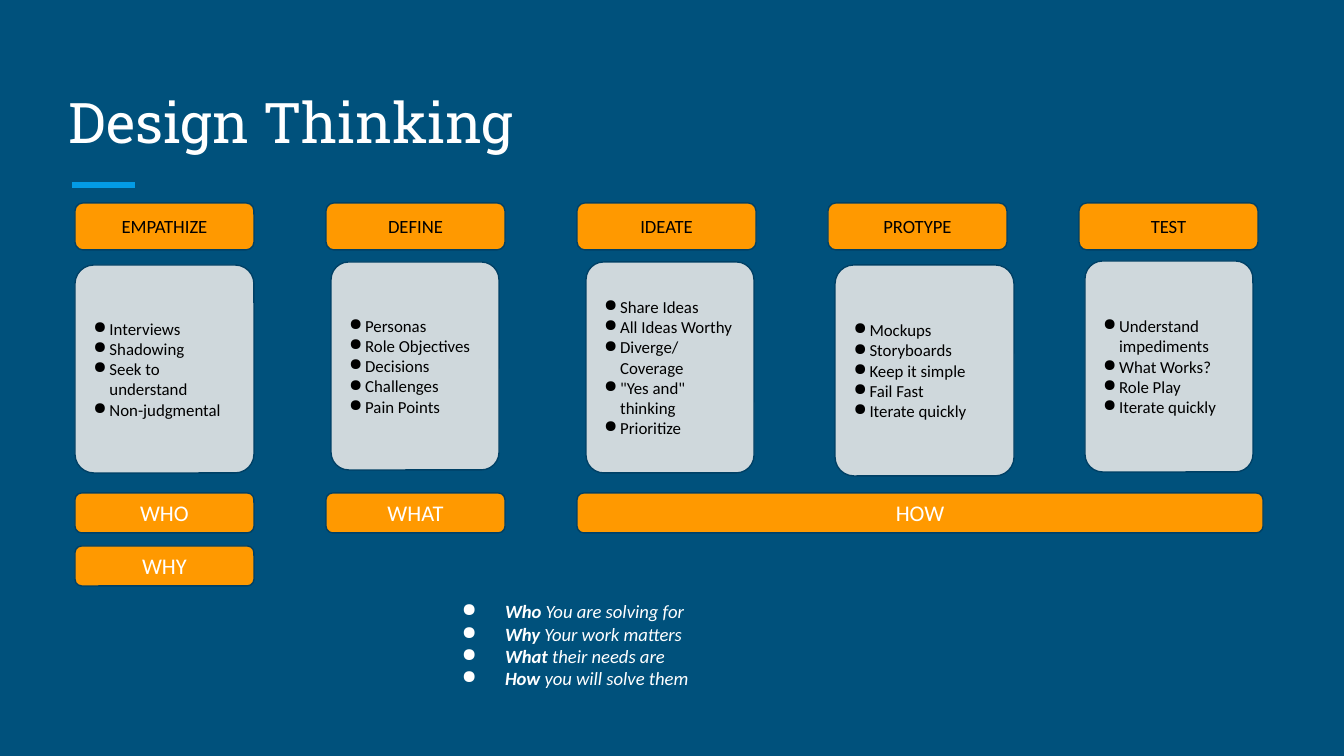
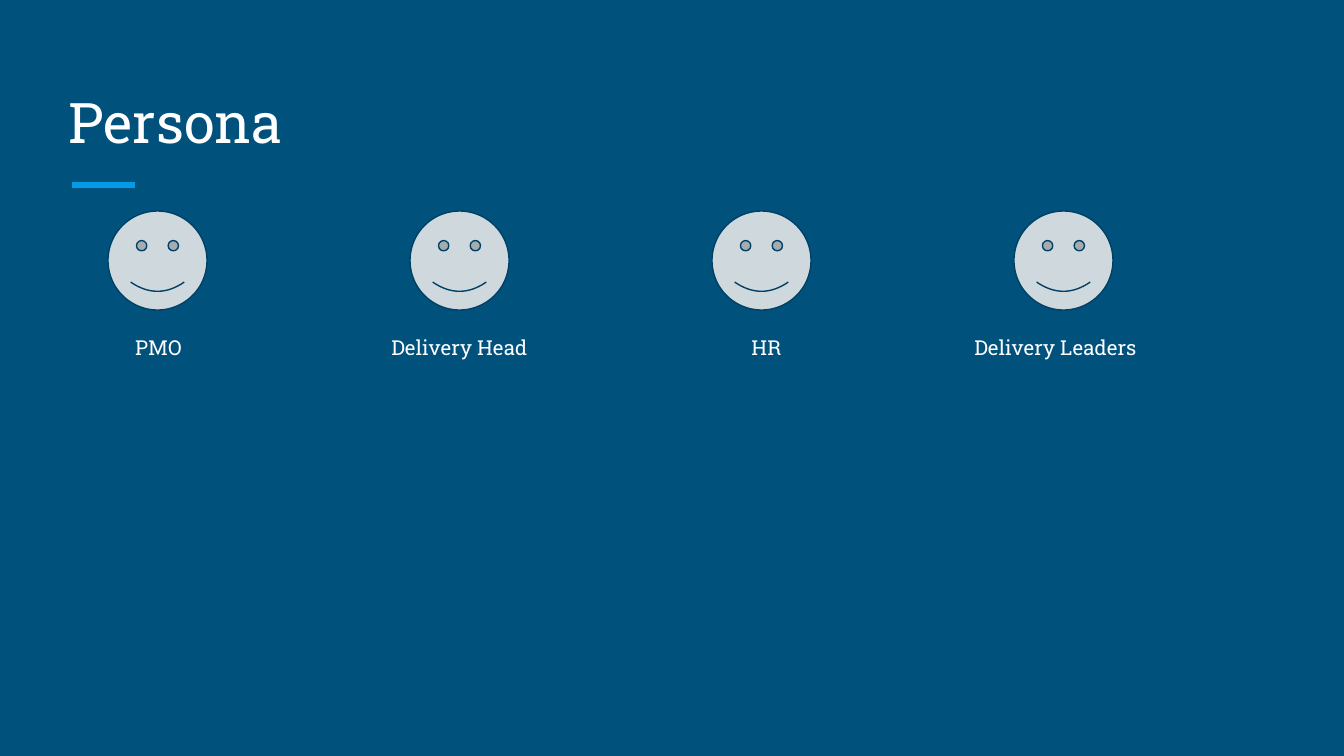
"""Build two slides: the design thinking phases and the personas."""
from lxml import etree
from pptx import Presentation, util as u
from pptx.dml.color import RGBColor
from pptx.enum import shapes, text
from pptx.oxml.ns import qn

NAVY, SKY, ORANGE, GREY, EDGE = "00517C", "039BE5", "FF9900", "CFD8DC", "004065"
BLACK, WHITE = "000000", "FFFFFF"
SLAB, SANS = "Roboto Slab", "Calibri"
LEFT, STEP, WIDTH = 75, 251, 179
NARROW = 168
INSET = 13

PHASES = [
    ("EMPATHIZE", (75, 265, WIDTH, 208),
     ["Interviews", "Shadowing", "Seek to understand", "Non-judgmental"]),
    ("DEFINE", (331, 262, NARROW, 208),
     ["Personas", "Role Objectives", "Decisions", "Challenges", "Pain Points"]),
    ("IDEATE", (586, 262, NARROW, 211),
     ["Share Ideas", "All Ideas Worthy", "Diverge/ Coverage", '"Yes and" thinking', "Prioritize"]),
    ("PROTYPE", (835, 265, WIDTH, 211),
     ["Mockups", "Storyboards", "Keep it simple", "Fail Fast", "Iterate quickly"]),
    ("TEST", (1085, 261, NARROW, 211),
     ["Understand impediments", "What Works?", "Role Play", "Iterate quickly"]),
]
QUESTIONS = [("WHO", 0, 493, WIDTH), ("WHAT", 1, 493, WIDTH),
             ("HOW", 2, 493, 686), ("WHY", 0, 546, WIDTH)]
ANSWERS = [("Who ", "You are solving for"), ("Why ", "Your work matters"),
           ("What ", "their needs are"), ("How ", "you will solve them")]
PERSONAS = [("PMO", 93, 131), ("Delivery Head", 368, 183),
            ("HR", 675, 183), ("Delivery Leaders", 948, 215)]


def px(length):
    return u.Emu(round(length * 914400 / 134.4))


def colour(value):
    return RGBColor.from_string(value)


def add_bullet(para, margin, indent, value):
    props = para._p.get_or_add_pPr()
    props.set("marL", str(px(margin)))
    props.set("indent", str(px(indent)))
    tint = etree.SubElement(props, qn("a:buClr"))
    etree.SubElement(tint, qn("a:srgbClr"), val=value)
    etree.SubElement(props, qn("a:buChar"), char="●")


def write(box, lines, face, size, value, align=text.PP_ALIGN.LEFT,
          anchor=text.MSO_ANCHOR.MIDDLE, bullet=None):
    """Fill a box with paragraphs, each a list of spans."""
    frame = box.text_frame
    frame.word_wrap = True
    frame.vertical_anchor = anchor
    frame.margin_left = frame.margin_right = px(INSET)
    frame.margin_top = frame.margin_bottom = px(INSET)
    for index, spans in enumerate(lines):
        para = frame.add_paragraph() if index else frame.paragraphs[0]
        para.alignment = align
        para.font.name, para.font.size = face, u.Pt(size)
        para.font.color.rgb = colour(value)
        if bullet:
            add_bullet(para, *bullet, value)
        for words in spans:
            para.add_run().text = words
    return frame


def add_box(page, *place):
    return page.shapes.add_textbox(*map(px, place))


def add_figure(page, kind, place, fill):
    figure = page.shapes.add_shape(kind, *map(px, place))
    figure.shadow.inherit = False
    figure.fill.solid()
    figure.fill.fore_color.rgb = colour(fill)
    figure.line.color.rgb = colour(EDGE)
    figure.line.width = u.Pt(0.75)
    return figure


def add_band(page, words, column, top, width, height, size, value):
    place = (LEFT + column * STEP, top, width, height)
    band = add_figure(page, shapes.MSO_SHAPE.ROUNDED_RECTANGLE, place, ORANGE)
    write(band, [[words]], SANS, size, value, text.PP_ALIGN.CENTER)


def add_page(deck, title):
    page = deck.slides.add_slide(deck.slide_layouts[6])
    rule = page.shapes.add_connector(
        shapes.MSO_CONNECTOR.STRAIGHT, px(72), px(185), px(135), px(185))
    rule.line.color.rgb = colour(SKY)
    rule.line.width = u.Pt(3)
    etree.SubElement(rule._element.spPr, qn("a:effectLst"))
    write(add_box(page, 56, 67, 1230, 101), [[title]], SLAB, 30, WHITE,
          anchor=text.MSO_ANCHOR.BOTTOM)
    return page


def build_phases(deck):
    page = add_page(deck, "Design Thinking")
    for column, (name, place, items) in enumerate(PHASES):
        add_band(page, name, column, 203, WIDTH, 47, 10, BLACK)
        card = add_figure(page, shapes.MSO_SHAPE.ROUNDED_RECTANGLE, place, GREY)
        card.adjustments[0] = 0.105
        write(card, [[item] for item in items], SANS, 9, BLACK, bullet=(16, -26))
    for name, column, top, width in QUESTIONS:
        add_band(page, name, column, top, width, 40, 12, WHITE)
    frame = write(add_box(page, 425, 587, 382, 118), ANSWERS, SANS, 10, WHITE,
                  anchor=text.MSO_ANCHOR.TOP, bullet=(67, -43))
    frame.auto_size = text.MSO_AUTO_SIZE.SHAPE_TO_FIT_TEXT
    for para in frame.paragraphs:
        para.font.italic = True
        para.runs[0].font.bold = True


def build_personas(deck):
    page = add_page(deck, "Persona")
    for column, (name, left, width) in enumerate(PERSONAS):
        place = (108 + column * 302, 211, 99, 99)
        add_figure(page, shapes.MSO_SHAPE.SMILEY_FACE, place, GREY)
        write(add_box(page, left, 328, width, 39), [[name]], SLAB, 11, WHITE,
              text.PP_ALIGN.CENTER)


def main():
    deck = Presentation()
    deck.slide_width, deck.slide_height = px(1344), px(756)
    backdrop = deck.slide_master.background.fill
    backdrop.solid()
    backdrop.fore_color.rgb = colour(NAVY)
    build_phases(deck)
    build_personas(deck)
    deck.save("out.pptx")


if __name__ == "__main__":
    main()
